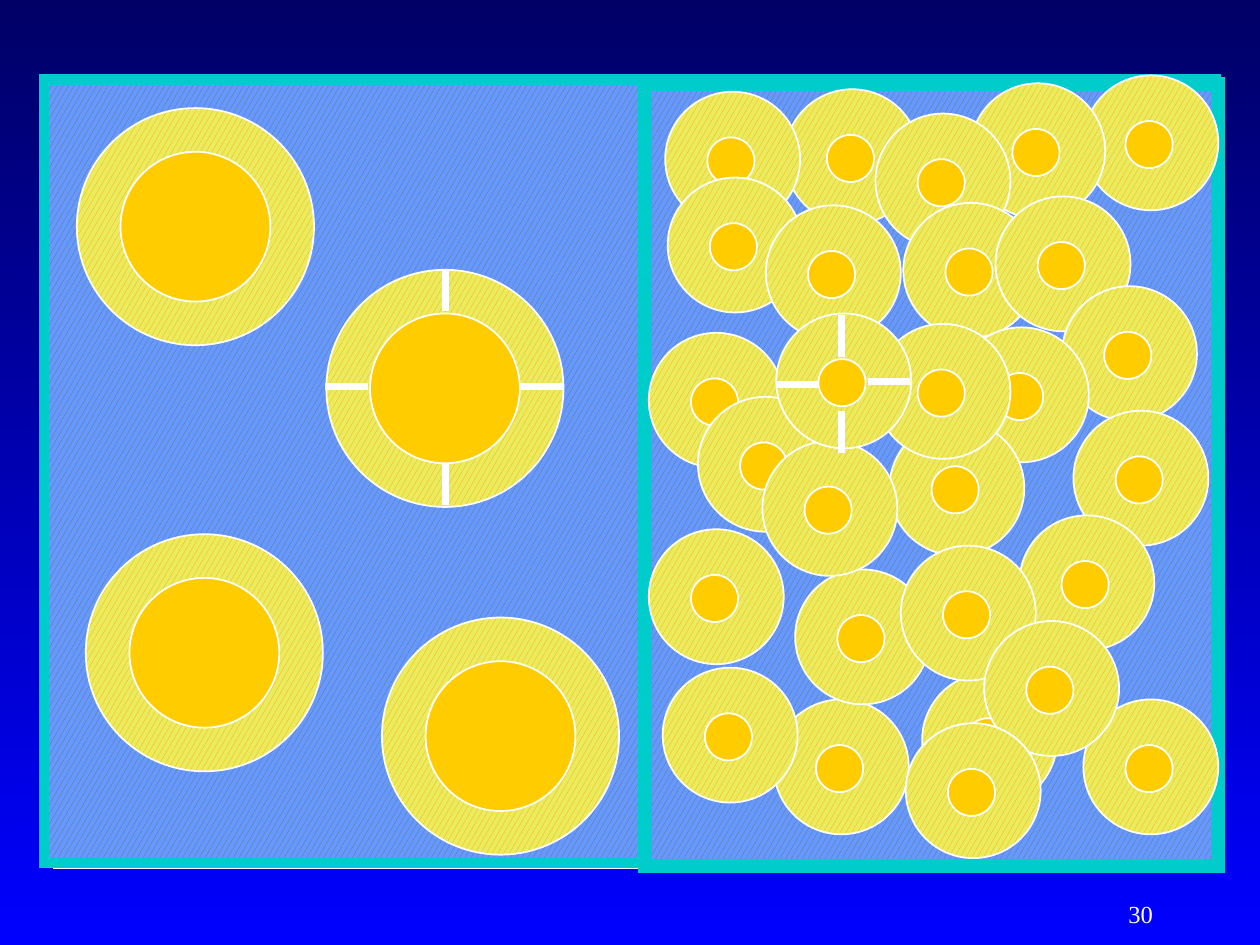
from lxml.etree import SubElement
from pptx import Presentation
from pptx.dml.color import RGBColor
from pptx.enum.dml import MSO_PATTERN
from pptx.enum.shapes import MSO_CONNECTOR, MSO_SHAPE
from pptx.enum.text import MSO_ANCHOR, PP_ALIGN
from pptx.oxml.ns import qn
from pptx.util import Cm, Pt

COLORS = {
    "sky_top": "000066", "sky_bottom": "0000FF",
    "frame": "00CCCC", "water": "6699FF", "water_fleck": "676767",
    "cytoplasm": "EAEC5E", "cytoplasm_fleck": "FE9B03",
    "nucleus": "FFCC00", "white": "FFFFFF",
}
WATER = ("water", "water_fleck")
CYTOPLASM = ("cytoplasm", "cytoplasm_fleck")

# (left, top, width, height), fill, line colour, line width in points
PANELS = [
    ((1.09, 1.52, 11.79, 15.98), ("nucleus",), "white", 1),
    ((0.89, 1.6, 23.62, 15.8), WATER, "frame", 6),
    ((13, 1.7, 11.56, 15.75), WATER, "frame", 8),
]

# Cell kinds: cell diameter, nucleus diameter, nucleus offset (x, y)
LARGE = (4.78, 3.02, 0.88, 0.88)
SMALL = (2.72, 0.95, 0.85, 0.92)

# Left and top of each cell, from back to front
LARGE_CELLS = [(1.55, 2.18), (6.58, 5.44), (1.73, 10.77), (7.7, 12.45)]
HIDDEN_SPOKE_CELL = (13.08, 6.71)
SMALL_CELLS = [
    (18.59, 13.56), (21.84, 1.52), (19.56, 1.68), (15.82, 1.8),
    (13.41, 1.85), (17.65, 2.29), (13.46, 3.58), (15.44, 4.14),
    (18.21, 4.09), (20.07, 3.96), (21.41, 5.77), (19.23, 6.6),
    (21.64, 8.28), (20.55, 10.39), (17.93, 8.48), (17.65, 6.53),
    (21.84, 14.1), (15.6, 14.1), (13.36, 13.46), (13.08, 10.67),
    (16.03, 11.48), (18.16, 11), (14.07, 8), (15.37, 8.89),
    (15.65, 6.32), (19.84, 12.52), (18.26, 14.58),
]

# Spokes mark the thickness of the cytoplasm: start x, start y, direction
SPOKE_LENGTH = 0.85
HIDDEN_SPOKE = (14.4, 9.47, 0, -1)
LARGE_SPOKES = [(8.99, 6.27, 0, -1), (8.99, 10.19, 0, -1),
                (10.49, 7.8, 1, 0), (6.56, 7.8, 1, 0)]
SMALL_SPOKES = [(17.5, 7.7, 1, 0), (15.67, 7.75, 1, 0),
                (16.97, 6.35, 0, 1), (16.97, 8.28, 0, 1)]

PAGE_NUMBER = "30"


def rgb(name):
    return RGBColor.from_string(COLORS[name])


def add_outlined(shapes, kind, box, fill, line, width):
    """Add a shape; fill is one colour name, or back and fleck of a pattern."""
    shape = shapes.add_shape(kind, *map(Cm, box))
    shape.shadow.inherit = False
    if len(fill) == 1:
        shape.fill.solid()
        shape.fill.fore_color.rgb = rgb(fill[0])
    else:
        shape.fill.patterned()
        shape.fill.pattern = MSO_PATTERN.LARGE_CONFETTI
        shape.fill.back_color.rgb, shape.fill.fore_color.rgb = map(rgb, fill)
    shape.line.color.rgb = rgb(line)
    shape.line.width = Pt(width)
    return shape


def add_panel(shapes, box, fill, line, width):
    panel = add_outlined(shapes, MSO_SHAPE.RECTANGLE, box, fill, line, width)
    outline = panel.line._get_or_add_ln()
    SubElement(outline, qn("a:miter"), lim="800000")


def add_cell(shapes, left, top, size):
    diameter, nucleus, dx, dy = size
    for box, fill in [
        ((left, top, diameter, diameter), CYTOPLASM),
        ((left + dx, top + dy, nucleus, nucleus), ("nucleus",)),
    ]:
        add_outlined(shapes, MSO_SHAPE.OVAL, box, fill, "white", 1)


def add_spoke(shapes, x, y, dx, dy):
    spoke = shapes.add_connector(
        MSO_CONNECTOR.STRAIGHT, Cm(x), Cm(y),
        Cm(x + dx * SPOKE_LENGTH), Cm(y + dy * SPOKE_LENGTH))
    spoke.line.color.rgb = rgb("white")
    spoke.line.width = Pt(4)
    SubElement(spoke._element.spPr, qn("a:effectLst"))


def add_page_number(shapes):
    box = shapes.add_textbox(Cm(18.21), Cm(17.78), Cm(5.28), Cm(1.27))
    frame = box.text_frame
    frame.word_wrap = True
    frame.vertical_anchor = MSO_ANCHOR.MIDDLE
    number = frame.paragraphs[0]
    number.text = PAGE_NUMBER
    number.alignment = PP_ALIGN.RIGHT
    number.font.name = "Times New Roman"
    number.font.size = Pt(14)
    number.font.color.rgb = rgb("white")


def main():
    deck = Presentation()
    deck.slide_width, deck.slide_height = Cm(25.4), Cm(19.05)
    slide = deck.slides.add_slide(deck.slide_layouts[6])
    shapes = slide.shapes

    sky = slide.background.fill
    sky.gradient()
    sky.gradient_angle = 270
    for stop, position, name in zip(
            sky.gradient_stops, (0, 1), ("sky_top", "sky_bottom")):
        stop.position = position
        stop.color.rgb = rgb(name)

    for panel in PANELS:
        add_panel(shapes, *panel)
    for left, top in LARGE_CELLS:
        add_cell(shapes, left, top, LARGE)
    add_cell(shapes, *HIDDEN_SPOKE_CELL, SMALL)
    for spoke in [HIDDEN_SPOKE, *LARGE_SPOKES]:
        add_spoke(shapes, *spoke)
    for left, top in SMALL_CELLS:
        add_cell(shapes.add_group_shape().shapes, left, top, SMALL)
    for spoke in SMALL_SPOKES:
        add_spoke(shapes, *spoke)
    add_page_number(shapes)

    deck.save("out.pptx")


if __name__ == "__main__":
    main()
